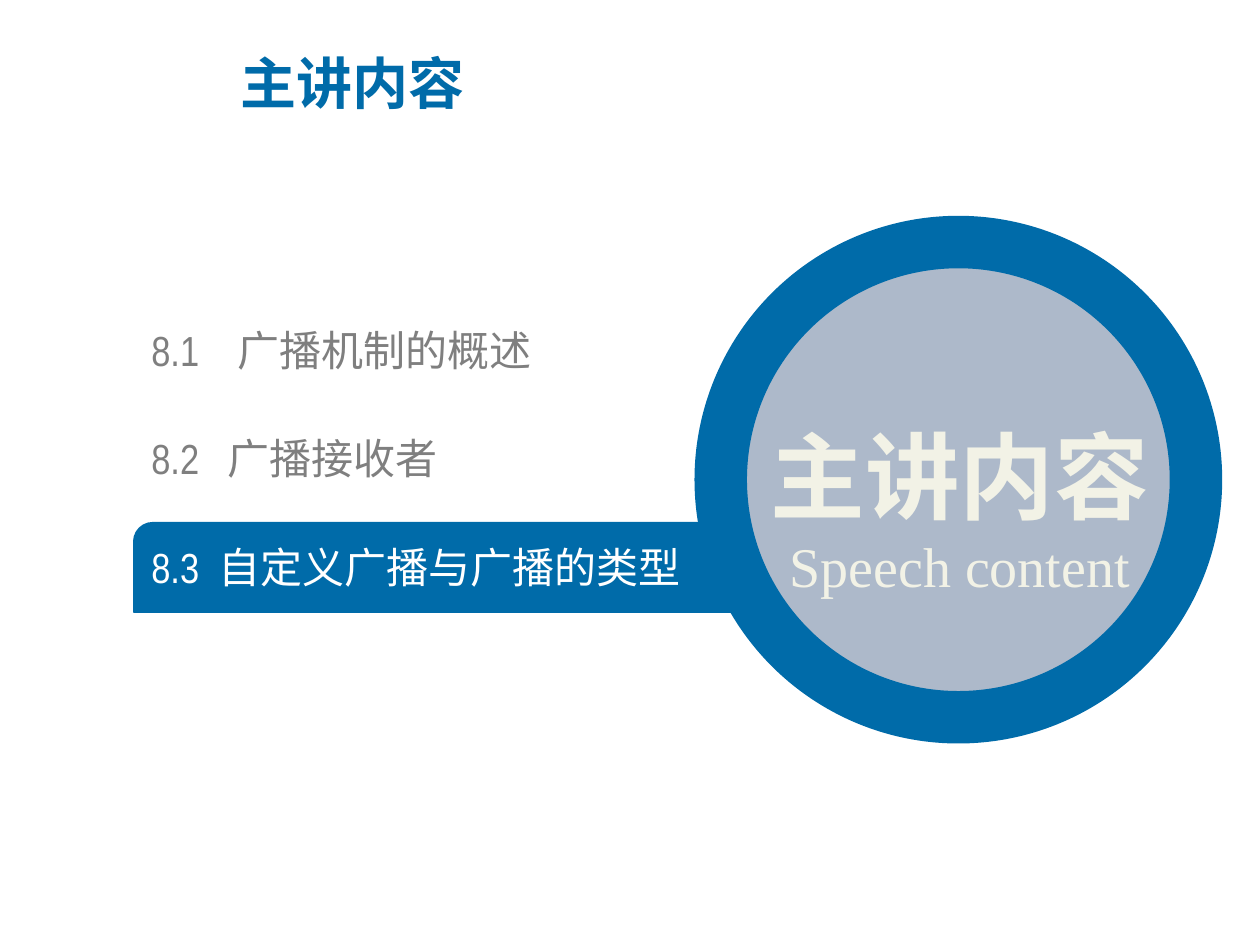
from lxml.etree import SubElement
from pptx import Presentation
from pptx.dml.color import RGBColor
from pptx.enum.shapes import MSO_SHAPE
from pptx.enum.text import MSO_ANCHOR, MSO_AUTO_SIZE, PP_ALIGN
from pptx.oxml.ns import qn
from pptx.util import Cm, Pt

BLUE, GREY, WHITE = "006BA9", "7F7F7F", "FFFFFF"
DISC, CREAM = "ADB9CA", "F2F2E6"
CJK = "Noto Sans CJK SC"


def rgb(value):
    return RGBColor.from_string(value)


def place(sp, left, top, width, height):
    sp.left, sp.top, sp.width, sp.height = Cm(left), Cm(top), Cm(width), Cm(height)


def setup_frame(sp):
    tf = sp.text_frame
    tf.word_wrap = True
    tf.auto_size = MSO_AUTO_SIZE.NONE
    tf.vertical_anchor = MSO_ANCHOR.MIDDLE
    return tf


def add_run(p, text, size, color, font=CJK, bold=False, spacing=0):
    r = p.add_run()
    r.text = text
    r.font.size, r.font.bold, r.font.name = Pt(size), bold, font
    r.font.color.rgb = rgb(color)
    rPr = r._r.get_or_add_rPr()
    SubElement(rPr, qn("a:ea"), typeface=CJK)
    if spacing:
        rPr.set("spc", str(round(spacing * 100)))


def add_shape(s, kind, box, fill, line_width):
    sp = s.shapes.add_shape(kind, *map(Cm, box))
    sp.shadow.inherit = False
    sp.fill.solid()
    sp.fill.fore_color.rgb = rgb(fill)
    sp.line.color.rgb = rgb(BLUE)
    sp.line.width = Pt(line_width)
    return sp


def clear_bullet(p):
    pPr = p._p.get_or_add_pPr()
    pPr.set("marL", "0")
    pPr.set("indent", "0")
    SubElement(pPr, qn("a:buNone"))


def fill_title(sp, text):
    place(sp, 4.6, 0.59, 14.3, 2.13)
    p = setup_frame(sp).paragraphs[0]
    p.alignment = PP_ALIGN.LEFT
    add_run(p, text, 32, BLUE, bold=True)


def fill_agenda(sp, items, current):
    place(sp, 3.05, 6.53, 11.05, 5.41)
    tf = setup_frame(sp)
    tf.margin_left = tf.margin_right = tf.margin_top = tf.margin_bottom = 0
    for i, (number, topic) in enumerate(items):
        p = tf.add_paragraph() if i else tf.paragraphs[0]
        clear_bullet(p)
        p.line_spacing = 1.0
        p.space_before = Pt(33 if i else 0)
        color = WHITE if number == current else GREY
        add_run(p, number, 24, color, "Arial Narrow")
        # The gap after the number narrows from item to item
        add_run(p, " ", 24, color, "Arial Narrow", spacing=5.5 * (3 - i))
        add_run(p, topic, 24, color, "Arial Narrow")


def add_disc_label(s, heading, subtitle):
    tf = setup_frame(s.shapes.add_textbox(Cm(14.4), Cm(7.14), Cm(9.9), Cm(5.08)))
    p = tf.paragraphs[0]
    p.alignment = PP_ALIGN.CENTER
    p.line_spacing = 1.5
    add_run(p, heading, 54, CREAM, bold=True)
    p = tf.add_paragraph()
    p.alignment = PP_ALIGN.CENTER
    add_run(p, subtitle, 32, CREAM, "Times New Roman")


def main():
    prs = Presentation()
    prs.slide_width, prs.slide_height = Cm(25.4), Cm(19.05)
    s = prs.slides.add_slide(prs.slide_layouts[1])
    title, agenda = s.placeholders

    fill_title(title, "主讲内容")

    # Bar behind the current agenda item
    bar = add_shape(s, MSO_SHAPE.ROUND_2_DIAG_RECTANGLE,
                    (2.7, 10.54, 13.8, 1.8), BLUE, 1)
    bar.adjustments[0], bar.adjustments[1] = 0.21, 0

    # Agenda, moved in front of the bar
    fill_agenda(agenda, [("8.1", "广播机制的概述"),
                         ("8.2", "广播接收者"),
                         ("8.3", "自定义广播与广播的类型")], "8.3")
    bar._element.addnext(agenda._element)

    # Ringed disc with its label
    add_shape(s, MSO_SHAPE.OVAL, (14.53, 4.88, 9.58, 9.58), DISC, 30)
    add_disc_label(s, "主讲内容", "Speech content")

    prs.save("out.pptx")


if __name__ == "__main__":
    main()
